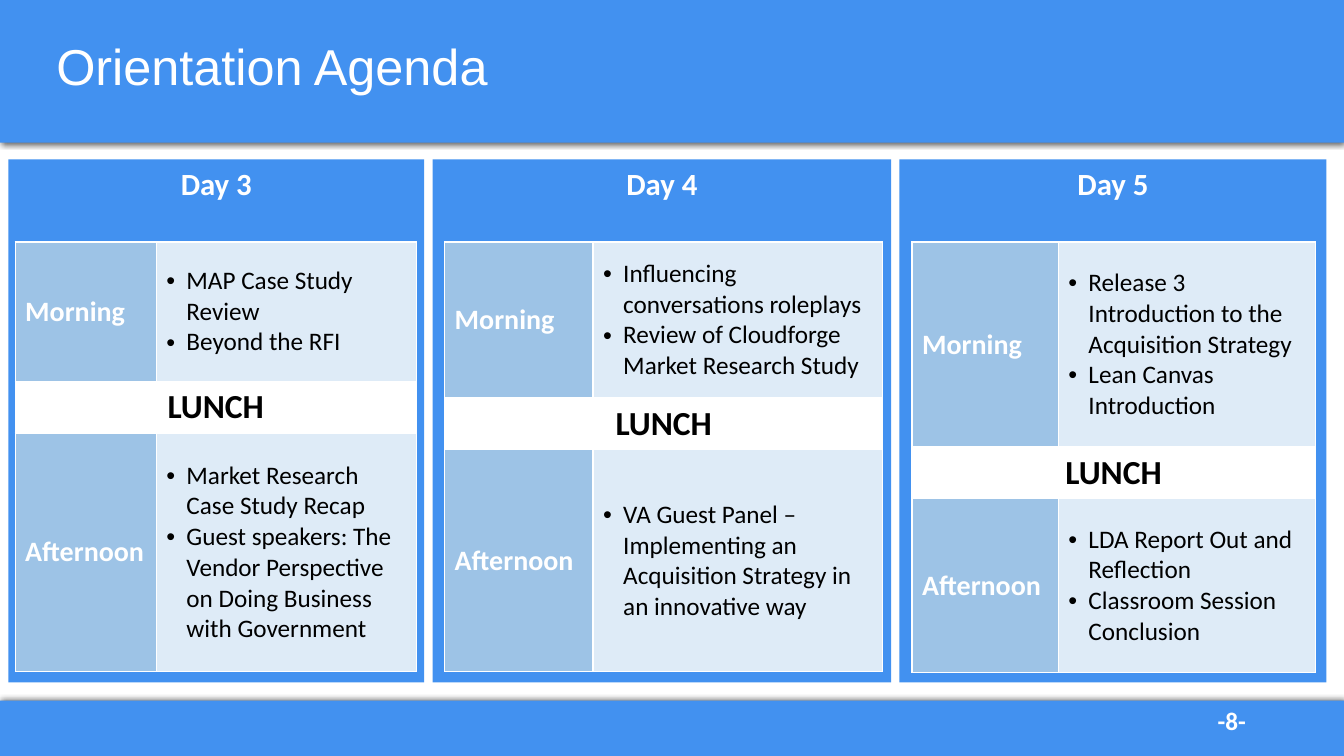
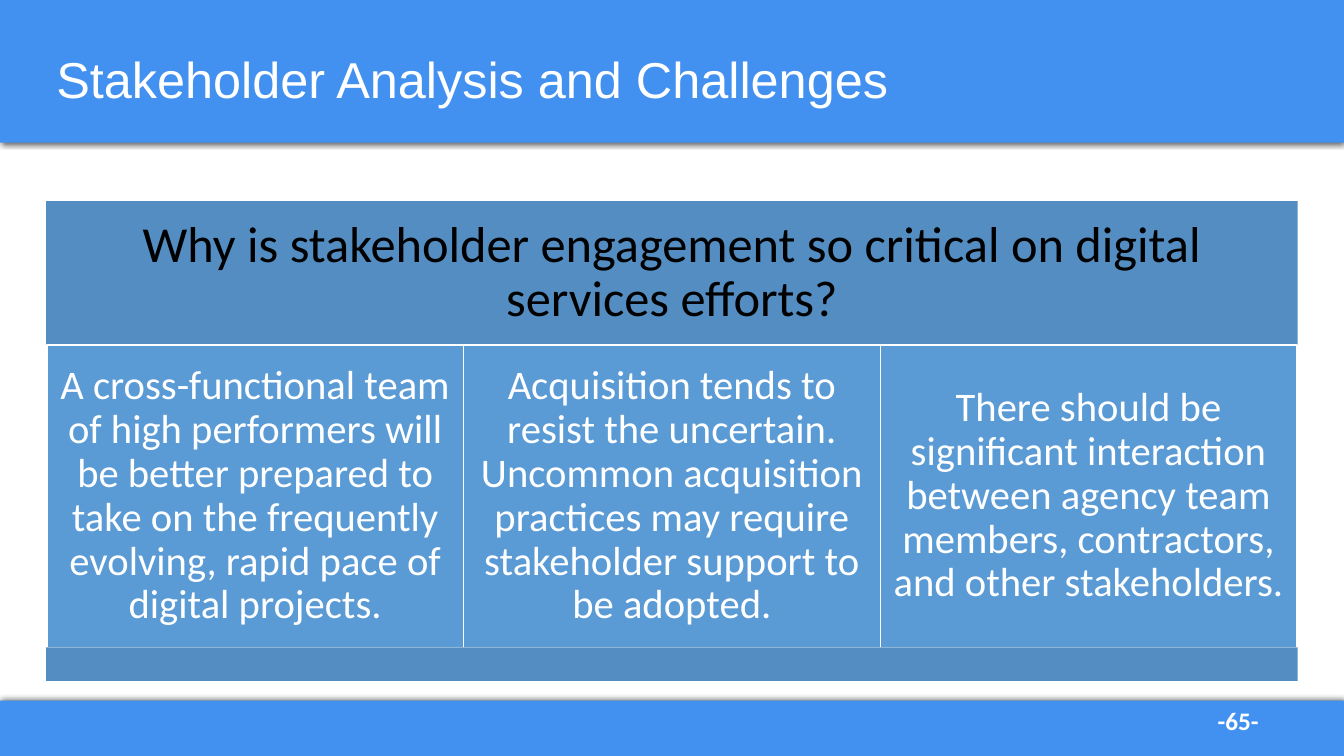
from dataclasses import dataclass
from itertools import accumulate

from lxml import etree
from pptx import Presentation
from pptx.dml.color import RGBColor
from pptx.enum.shapes import MSO_SHAPE
from pptx.enum.text import MSO_ANCHOR, MSO_AUTO_SIZE, PP_ALIGN
from pptx.oxml.ns import qn
from pptx.util import Pt

RECT = MSO_SHAPE.RECTANGLE
TOP, MIDDLE = MSO_ANCHOR.TOP, MSO_ANCHOR.MIDDLE
LEFT, CENTER = PP_ALIGN.LEFT, PP_ALIGN.CENTER
NO_FIT = MSO_AUTO_SIZE.NONE


@dataclass(frozen=True)
class Style:
    size: float
    color: str
    bold: bool = False
    font: str = "Calibri"
    align: PP_ALIGN = LEFT
    spacing: float = 1.0


@dataclass(frozen=True)
class Theme:
    blue: str = "4291F0"
    white: str = "FFFFFF"
    black: str = "000000"
    label: str = "9DC3E6"
    pale: str = "DEEBF7"
    steel: str = "538DC1"
    panel: str = "5B9BD5"
    title: Style = Style(36, "FFFFFF", font="Arial", spacing=0.9)
    page: Style = Style(18, "FFFFFF", bold=True)
    day: Style = Style(22, "FFFFFF", bold=True, align=CENTER)
    slot: Style = Style(20, "FFFFFF", bold=True)
    item: Style = Style(18, "000000")
    lunch: Style = Style(24, "000000", bold=True, align=CENTER)
    ask: Style = Style(36, "000000", align=CENTER, spacing=0.9)
    reason: Style = Style(29, "FFFFFF", align=CENTER, spacing=0.9)


@dataclass(frozen=True)
class Frame:
    left: float
    top: float
    width: float
    height: float

    def place(self) -> list[Pt]:
        return [Pt(v) for v in (self.left, self.top, self.width, self.height)]


@dataclass(frozen=True)
class Day:
    name: str
    width: float
    inset: float
    cols: tuple[float, float]
    rows: tuple[float, float, float]
    morning: list[str]
    evening: list[str]


THEME = Theme()
WIDE, HIGH = 960, 540
HEAD = Frame(0, 0, WIDE, 102)
FOOT = Frame(0, 500.4, WIDE, 39.6)
PAGE = Frame(862.6, 500.4, 70.6, 28.8)
EDGE, GAP = 6, 6
CARD_TOP, CARD_HIGH, TABLE_TOP = 113.8, 373.7, 172.8
INDENT = 14.4
SIDE, SPAN = 33, 894
PANEL_TOP, PANEL_WIDE, PANEL_HIGH = 246.4, 297.6, 216

DAYS = [
    Day("Day 3", 297, 4.8, (100.8, 185.8), (99.5, 37, 170.5),
        ["MAP Case Study Review", "Beyond the RFI"],
        ["Market Research Case Study Recap",
         "Guest speakers: The Vendor Perspective on Doing Business with Government"]),
    Day("Day 4", 327.5, 8.6, (106, 207), (111.5, 37, 158.5),
        ["Influencing conversations roleplays",
         "Review of Cloudforge Market Research Study"],
        ["VA Guest Panel – Implementing an Acquisition Strategy in an innovative way"]),
    Day("Day 5", 305, 9, (104.4, 183.6), (146.5, 37, 124),
        ["Release 3 Introduction to the Acquisition Strategy",
         "Lean Canvas Introduction"],
        ["LDA Report Out and Reflection", "Classroom Session Conclusion"]),
]
QUESTION = "Why is stakeholder engagement so critical on digital services efforts?"
REASONS = [
    "A cross-functional team of high performers will be better prepared to take on "
    "the frequently evolving, rapid pace of digital projects.",
    "Acquisition tends to resist the uncertain. Uncommon acquisition practices may "
    "require stakeholder support to be adopted.",
    "There should be significant interaction between agency team members, "
    "contractors, and other stakeholders.",
]


def write(text, lines: list[str], style: Style) -> None:
    text.word_wrap = True
    text.text = "\n".join(lines)
    for para in text.paragraphs:
        para.alignment = style.align
        para.line_spacing = style.spacing
        for run in para.runs:
            font = run.font
            font.name, font.size, font.bold = style.font, Pt(style.size), style.bold
            font.color.rgb = RGBColor.from_string(style.color)


def draw_box(slide, frame: Frame, fill: str, line: str = ""):
    box = slide.shapes.add_shape(RECT, *frame.place())
    box.shadow.inherit = False
    box.fill.solid()
    box.fill.fore_color.rgb = RGBColor.from_string(fill)
    if line:
        box.line.color.rgb = RGBColor.from_string(line)
        box.line.width = Pt(1)
    else:
        box.line.fill.background()
    return box


def fill_box(box, line: str, style: Style, pad: float) -> None:
    text = box.text_frame
    write(text, [line], style)
    text.vertical_anchor = MIDDLE
    text.margin_left = text.margin_right = Pt(pad)
    text.margin_top = text.margin_bottom = Pt(pad)


def add_band(slide, frame: Frame, angle: int) -> None:
    """Draw a shadowed band and move it behind the layout's placeholders."""
    band = draw_box(slide, frame, THEME.blue)
    effects = band.element.spPr.find(qn("a:effectLst"))
    shade = etree.SubElement(effects, qn("a:outerShdw"), blurRad=str(Pt(4)),
                             dist=str(Pt(1)), dir=str(angle * 60000), rotWithShape="0")
    color = etree.SubElement(shade, qn("a:srgbClr"), val=THEME.black)
    etree.SubElement(color, qn("a:alpha"), val="64000")
    slide.slide_layout.shapes.element.insert(2, band.element)


def add_slide(deck, title: str, frame: Frame, page: str):
    slide = deck.slides.add_slide(deck.slide_layouts[5])
    head = slide.shapes.title
    head.left, head.top, head.width, head.height = frame.place()
    write(head.text_frame, [title], THEME.title)
    head.text_frame.auto_size = NO_FIT
    head.text_frame.vertical_anchor = MIDDLE
    note = slide.shapes.add_textbox(*PAGE.place())
    write(note.text_frame, [page], THEME.page)
    return slide


def add_bullets(text) -> None:
    for para in text.paragraphs:
        props = para._p.get_or_add_pPr()
        props.set("marL", str(Pt(INDENT)))
        props.set("indent", str(-Pt(INDENT)))
        etree.SubElement(props, qn("a:buFont"), typeface="Arial")
        etree.SubElement(props, qn("a:buChar"), char="•")


def fill_cell(cell, lines: list[str], style: Style, fill: str) -> None:
    write(cell.text_frame, lines, style)
    cell.vertical_anchor = MIDDLE
    props = cell._tc.get_or_add_tcPr()
    for side in ("lnL", "lnR", "lnT", "lnB"):
        edge = etree.SubElement(props, qn(f"a:{side}"), w=str(Pt(1)))
        solid = etree.SubElement(edge, qn("a:solidFill"))
        etree.SubElement(solid, qn("a:srgbClr"), val=THEME.white)
    cell.fill.solid()
    cell.fill.fore_color.rgb = RGBColor.from_string(fill)


def add_day(slide, day: Day, left: float) -> None:
    card = draw_box(slide, Frame(left, CARD_TOP, day.width, CARD_HIGH), THEME.blue)
    write(card.text_frame, [day.name], THEME.day)
    card.text_frame.vertical_anchor = TOP

    frame = Frame(left + day.inset, TABLE_TOP, sum(day.cols), sum(day.rows))
    table = slide.shapes.add_table(3, 2, *frame.place()).table
    table.first_row = table.horz_banding = False
    for col, width in zip(table.columns, day.cols):
        col.width = Pt(width)
    for row, height in zip(table.rows, day.rows):
        row.height = Pt(height)
    for row, slot, items in ((0, "Morning", day.morning), (2, "Afternoon", day.evening)):
        fill_cell(table.cell(row, 0), [slot], THEME.slot, THEME.label)
        fill_cell(table.cell(row, 1), items, THEME.item, THEME.pale)
        add_bullets(table.cell(row, 1).text_frame)
    table.cell(1, 0).merge(table.cell(1, 1))
    fill_cell(table.cell(1, 0), ["LUNCH"], THEME.lunch, THEME.white)


def build_agenda(deck) -> None:
    slide = add_slide(deck, "Orientation Agenda", Frame(SIDE, -2.9, SPAN, 104.4), "-8-")
    add_band(slide, HEAD, 90)
    add_band(slide, FOOT, 270)
    lefts = accumulate((day.width + GAP for day in DAYS), initial=EDGE)
    for day, left in zip(DAYS, lefts):
        add_day(slide, day, left)


def build_reasons(deck) -> None:
    slide = add_slide(deck, "Stakeholder Analysis and Challenges",
                      Frame(SIDE, 21.3, SPAN, 75), "-65-")
    banner = draw_box(slide, Frame(SIDE, 143.6, SPAN, 102.8), THEME.steel)
    fill_box(banner, QUESTION, THEME.ask, 10.8)
    first = SIDE + (SPAN - PANEL_WIDE * len(REASONS)) / 2
    for i, reason in enumerate(REASONS):
        frame = Frame(first + i * PANEL_WIDE, PANEL_TOP, PANEL_WIDE, PANEL_HIGH)
        panel = draw_box(slide, frame, THEME.panel, THEME.white)
        fill_box(panel, reason, THEME.reason, 8.6)
    draw_box(slide, Frame(SIDE, PANEL_TOP + PANEL_HIGH, SPAN, 24), THEME.steel)


def main() -> None:
    deck = Presentation()
    deck.slide_width, deck.slide_height = Pt(WIDE), Pt(HIGH)
    build_agenda(deck)
    build_reasons(deck)
    deck.save("out.pptx")


if __name__ == "__main__":
    main()
